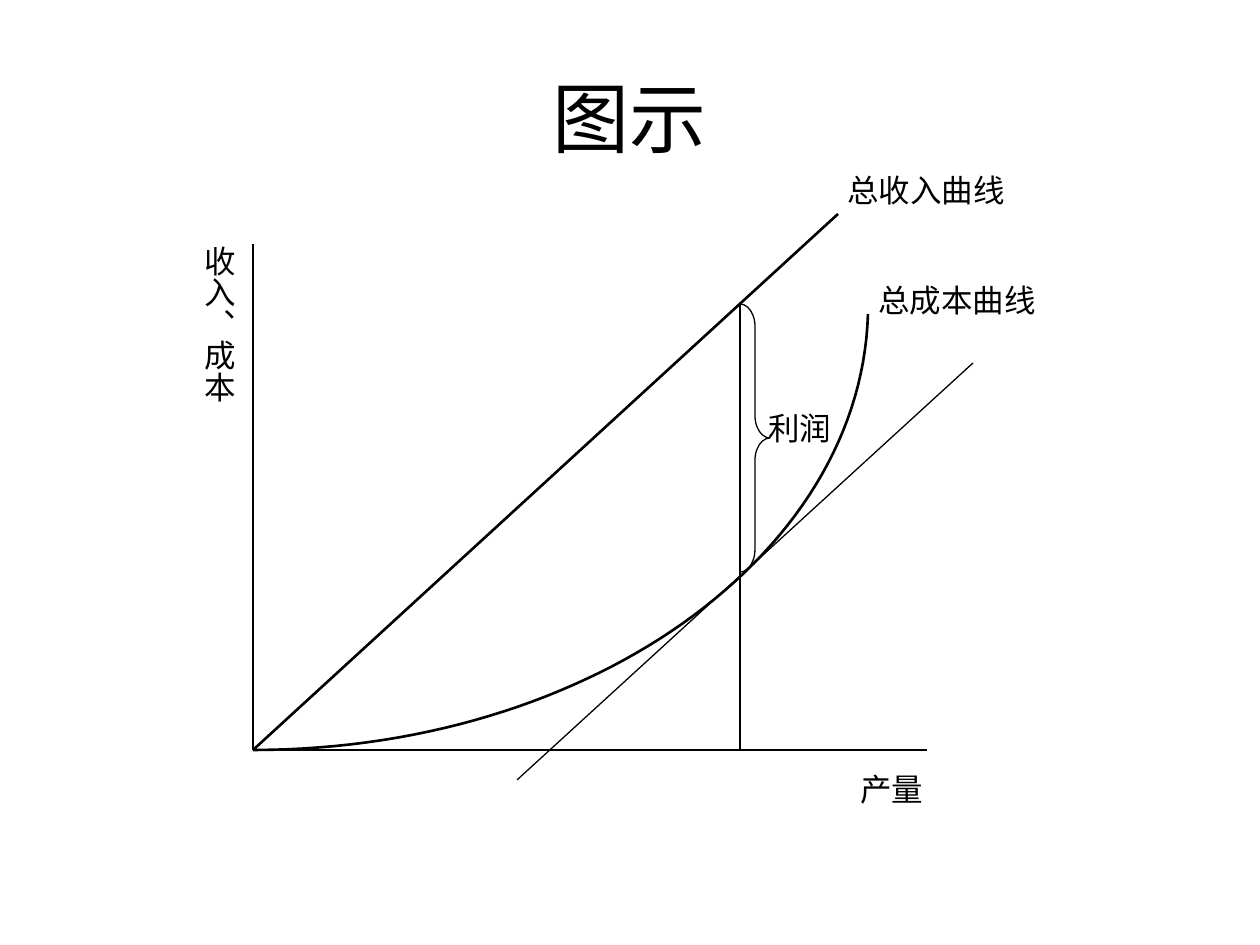
from lxml import etree
from pptx import Presentation
from pptx.dml.color import RGBColor
from pptx.enum import shapes, text
from pptx.oxml import ns
from pptx import util as u

COLORS = {"ink": "000000", "paper": "FFFFFF"}
FONT = "Arial"
THIN, THICK = 0.75, 1.5
ORIGIN = (253, 750)
OUTPUT_X, REVENUE_Y, COST_Y = 740, 304, 572

LINES = [
    (ORIGIN, (253, 244), THIN),
    (ORIGIN, (927, 750), THIN),
    (ORIGIN, (838, 214), THICK),
    ((517, 780), (973, 363), THIN),
    ((OUTPUT_X, REVENUE_Y), (OUTPUT_X, 750), THIN),
]
COST_CURVE = [ORIGIN, (587, 750), (861, 557), (868, 314)]
LABELS = [
    ("总收入曲线", (835, 165, 183, 50)),
    ("总成本曲线", (866, 275, 183, 50)),
    ("利润", (756, 403, 88, 50)),
    ("产量", (848, 764, 88, 50)),
]
AXIS_LABEL = ("收入、成本", (181, 233, 63, 170))


def px(n):
    """Convert px to EMU."""
    return u.Emu(round(n * 914400 / 126))


def rgb(name):
    """Look up a named colour."""
    return RGBColor.from_string(COLORS[name])


def apply(obj, values):
    """Set attributes from a dict of format values."""
    for name, value in values.items():
        setattr(obj, name, value)


def style_line(sp, width):
    """Give an outline its colour and width in points."""
    sp.line.color.rgb = rgb("ink")
    sp.line.width = u.Pt(width)


def write(tf, content, size, align):
    """Write one formatted paragraph."""
    p = tf.paragraphs[0]
    p.alignment = align
    r = p.add_run()
    r.text = content
    apply(r.font, {"size": u.Pt(size), "name": FONT})
    r.font.color.rgb = rgb("ink")


def set_title(s, content):
    """Place and fill the title placeholder."""
    sp = s.shapes.title
    box = dict(zip(("left", "top", "width", "height"), map(px, (63, 38, 1134, 158))))
    apply(sp, box)
    sp.text_frame.vertical_anchor = text.MSO_ANCHOR.MIDDLE
    write(sp.text_frame, content, 44, text.PP_ALIGN.CENTER)


def add_line(s, start, end, width):
    """Draw a straight line without a shadow."""
    sp = s.shapes.add_connector(
        shapes.MSO_CONNECTOR.STRAIGHT, *map(px, (*start, *end)))
    style_line(sp, width)
    etree.SubElement(sp._element.spPr, ns.qn("a:effectLst"))


def bezier(points, t):
    """Return the point at t on a cubic curve."""
    weights = ((1 - t) ** 3, 3 * t * (1 - t) ** 2, 3 * t * t * (1 - t), t ** 3)
    return tuple(px(sum(w * c for w, c in zip(weights, axis)))
                 for axis in zip(*points))


def add_curve(s, points, steps=60):
    """Draw an open cubic curve."""
    track = [bezier(points, i / steps) for i in range(steps + 1)]
    builder = s.shapes.build_freeform(*track[0])
    builder.add_line_segments(track[1:], close=False)
    sp = builder.convert_to_shape()
    sp.shadow.inherit = False
    sp.fill.background()
    style_line(sp, THICK)


def add_brace(s):
    """Mark the profit between revenue and cost."""
    sp = s.shapes.add_shape(
        shapes.MSO_SHAPE.RIGHT_BRACE,
        *map(px, (OUTPUT_X, REVENUE_Y, 30, COST_Y - REVENUE_Y)))
    sp.adjustments[0] = 0.75
    sp.shadow.inherit = False
    sp.fill.background()
    style_line(sp, THIN)


def add_label(s, content, box, vertical=False):
    """Add a label, upright or running downwards."""
    tf = s.shapes.add_textbox(*map(px, box)).text_frame
    side, end = (0.05, 0.1) if vertical else (0.1, 0.05)
    apply(tf, {
        "word_wrap": False,
        "auto_size": text.MSO_AUTO_SIZE.SHAPE_TO_FIT_TEXT,
        "margin_left": u.Inches(side), "margin_right": u.Inches(side),
        "margin_top": u.Inches(end), "margin_bottom": u.Inches(end),
    })
    if vertical:
        tf._txBody.bodyPr.set("vert", "eaVert")
    write(tf, content, 18, text.PP_ALIGN.LEFT)


def main():
    """Build the slide."""
    prs = Presentation()
    apply(prs, {"slide_width": u.Inches(10), "slide_height": u.Inches(7.5)})
    s = prs.slides.add_slide(prs.slide_layouts[5])
    s.background.fill.solid()
    s.background.fill.fore_color.rgb = rgb("paper")
    set_title(s, "图示")
    for line in LINES:
        add_line(s, *line)
    add_curve(s, COST_CURVE)
    add_brace(s)
    for label in LABELS:
        add_label(s, *label)
    add_label(s, *AXIS_LABEL, vertical=True)
    prs.save("out.pptx")


if __name__ == "__main__":
    main()
